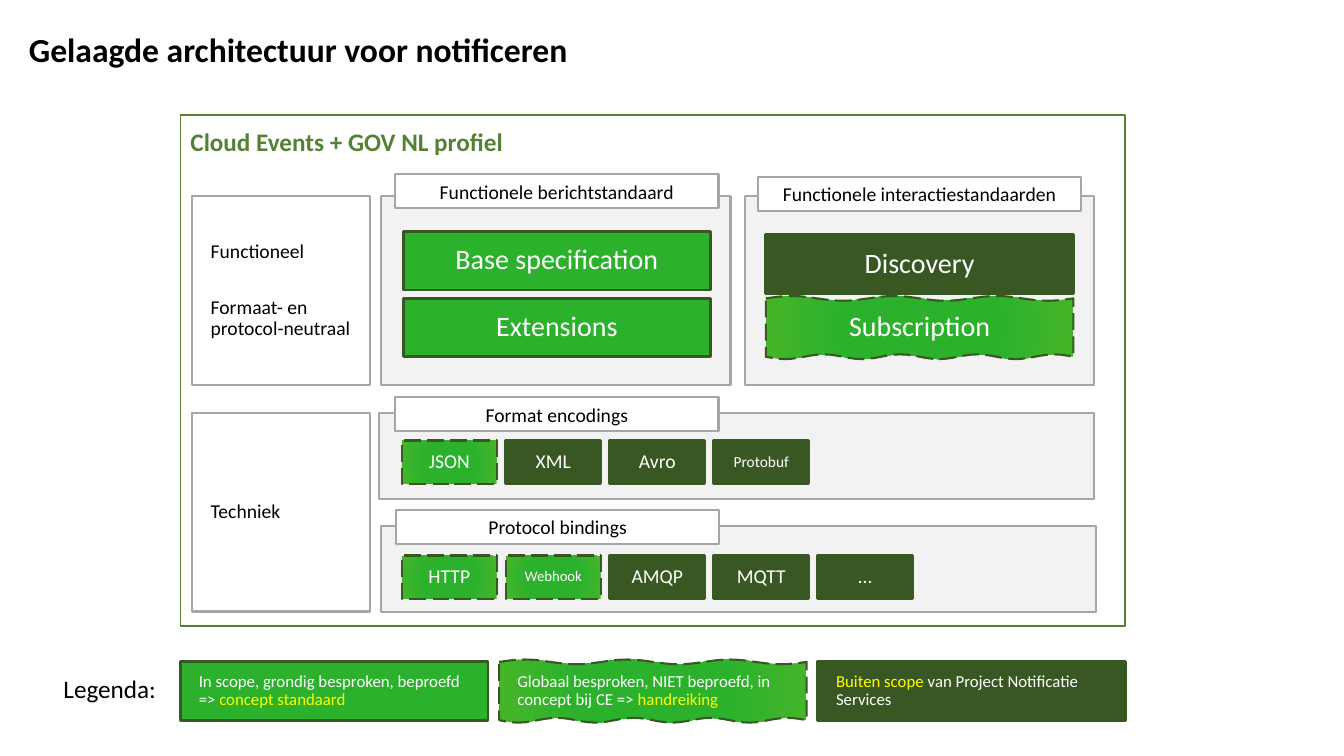
import math

import lxml.etree
import pptx
import pptx.dml.color
import pptx.enum.dml
import pptx.enum.shapes
import pptx.enum.text
import pptx.oxml.ns
import pptx.util

Cm = pptx.util.Cm
Pt = pptx.util.Pt
Align = pptx.enum.text.PP_ALIGN
Anchor = pptx.enum.text.MSO_ANCHOR

COLORS = {
    "black": "000000", "white": "FFFFFF", "yellow": "FFFF00",
    "panel": "F2F2F2", "grey": "A6A6A6", "heading": "548235",
    "scope": "2CB12D", "scope edge": "44B529",
    "dark": "385723", "outline": "375723",
}
FONT = "Calibri"


def color(name):
    return pptx.dml.color.RGBColor.from_string(COLORS[name])


def write(box, paragraphs, size=14, ink="black", bold=False, align=Align.LEFT,
          anchor=Anchor.MIDDLE, inset=(0.25, 0.13), spacing=1.0, gap=0, wrap=True):
    """Fill a box; each paragraph is a string or a list of (text, ink) spans."""
    frame = box.text_frame
    frame.word_wrap = wrap
    frame.vertical_anchor = anchor
    frame.margin_left = frame.margin_right = Cm(inset[0])
    frame.margin_top = frame.margin_bottom = Cm(inset[1])
    for index, content in enumerate(paragraphs):
        para = frame.add_paragraph() if index else frame.paragraphs[0]
        para.alignment = align
        para.line_spacing = spacing
        if index:
            para.space_before = Pt(gap)
        spans = [(content, ink)] if isinstance(content, str) else content
        for text, span_ink in spans:
            span = para.add_run()
            span.text = text
            span.font.name = FONT
            span.font.size = Pt(size)
            span.font.bold = bold
            span.font.color.rgb = color(span_ink)


class Diagram:
    block = (7.75, 1.47)
    chip = (2.39, 1.09)
    wave = 0.06

    def __init__(self, page):
        self.page = page

    def text(self, left, top, width, height, content, **style):
        box = self.page.shapes.add_textbox(Cm(left), Cm(top), Cm(width), Cm(height))
        write(box, [content], **style)

    def dress(self, shape, fill, line, weight):
        shape.shadow.inherit = False
        if fill:
            shape.fill.solid()
            shape.fill.fore_color.rgb = color(fill)
        else:
            shape.fill.background()
        shape.line.color.rgb = color(line)
        shape.line.width = Pt(weight)
        return shape

    def rect(self, left, top, width, height, fill, line="grey", weight=1.5):
        shape = self.page.shapes.add_shape(
            pptx.enum.shapes.MSO_SHAPE.RECTANGLE,
            Cm(left), Cm(top), Cm(width), Cm(height))
        return self.dress(shape, fill, line, weight)

    def wavy(self, left, top, width, height, fill, line, weight):
        steps = 48
        upper, lower = [], []
        for step in range(steps + 1):
            x = left + width * step / steps
            angle = 2 * math.pi * step / steps
            upper.append((Cm(x), Cm(top - self.wave * math.sin(3 * angle))))
            lower.append((Cm(x), Cm(top + height + self.wave * math.sin(4 * angle))))
        outline = upper + lower[::-1]
        builder = self.page.shapes.build_freeform(*outline[0])
        builder.add_line_segments(outline[1:], close=True)
        return self.dress(builder.convert_to_shape(), fill, line, weight)

    def partial(self, shape):
        """Radial green fill with a dashed outline: partly in scope."""
        shape.fill.gradient()
        stops = shape.fill.gradient_stops
        for stop, place, name in zip(stops, (0.49, 0.97), ("scope", "scope edge")):
            stop.position = place
            stop.color.rgb = color(name)
        qn = pptx.oxml.ns.qn
        gradient = shape._element.spPr.find(qn("a:gradFill"))
        gradient.remove(gradient.find(qn("a:lin")))
        radial = lxml.etree.SubElement(gradient, qn("a:path"), {"path": "circle"})
        lxml.etree.SubElement(radial, qn("a:fillToRect"), dict.fromkeys("ltrb", "50000"))
        shape.line.dash_style = pptx.enum.dml.MSO_LINE.LONG_DASH

    def tile(self, left, top, extent, status, content, align=Align.CENTER, **style):
        if status == "partial":
            draw = self.wavy if extent == self.block else self.rect
            shape = draw(left, top, *extent, "scope", "outline", 1.5)
            self.partial(shape)
        else:
            shape = self.rect(left, top, *extent, status, "outline", 2)
        write(shape, [content], ink="white", align=align, inset=(0.46, 0.46),
              spacing=0.9, **style)

    def label(self, left, top, content):
        shape = self.rect(left, top, 8.15, 0.86, "white")
        write(shape, [content], align=Align.CENTER)

    def layer(self, top, height, paragraphs):
        shape = self.rect(4.85, top, 4.47, height, "white")
        write(shape, paragraphs, inset=(0.46, 0.46), spacing=0.9, gap=25)

    def chips(self, top, items):
        for column, (name, status, size) in enumerate(items):
            self.tile(10.13 + 2.62 * column, top, self.chip, status, name, size=size)


def main():
    deck = pptx.Presentation()
    deck.slide_width, deck.slide_height = Cm(33.87), Cm(19.05)
    page = deck.slides.add_slide(deck.slide_layouts[6])
    diagram = Diagram(page)

    # Title and frame
    diagram.text(0.48, 0.43, 29.2, 1.75, "Gelaagde architectuur voor notificeren",
                 size=24, bold=True, spacing=0.9)
    diagram.rect(4.55, 2.9, 23.8, 12.88, None, "heading", 1)
    diagram.text(4.55, 3.05, 8.46, 1.02, "Cloud Events + GOV NL profiel",
                 size=18, ink="heading", bold=True, wrap=False)

    # Layers on the left
    diagram.layer(4.93, 4.78, ["Functioneel", "Formaat- en protocol-neutraal"])
    diagram.layer(10.41, 5, ["Techniek"])

    # Panels with their labels
    for panel, label, name in [
        ((9.6, 4.93, 8.81, 4.78), (9.96, 4.39), "Functionele berichtstandaard"),
        ((18.77, 4.93, 8.81, 4.78), (19.1, 4.45), "Functionele interactiestandaarden"),
        ((9.55, 10.41, 18.03, 2.16), (9.96, 10.01), "Format encodings"),
        ((9.6, 13.26, 18.03, 2.16), (9.98, 12.85), "Protocol bindings"),
    ]:
        diagram.rect(*panel, "panel")
        diagram.label(*label, name)

    # Functional standards
    for left, top, status, name in [
        (10.16, 5.84, "scope", "Base specification"),
        (10.16, 7.52, "scope", "Extensions"),
        (19.3, 5.92, "dark", "Discovery"),
        (19.3, 7.52, "partial", "Subscription"),
    ]:
        diagram.tile(left, top, diagram.block, status, name, size=20)

    # Technical standards
    diagram.chips(11.1, [("JSON", "partial", 14), ("XML", "dark", 14),
                         ("Avro", "dark", 14), ("Protobuf", "dark", 11)])
    diagram.chips(14, [("HTTP", "partial", 14), ("Webhook", "partial", 10.5),
                       ("AMQP", "dark", 14), ("MQTT", "dark", 14), ("…", "dark", 14)])

    # Legend
    diagram.text(1.35, 16.84, 3.02, 1.02, "Legenda:", size=18, wrap=False)
    for column, (status, spans) in enumerate([
        ("scope", [("In scope, grondig besproken, beproefd => ", "white"),
                   ("concept standaard", "yellow")]),
        ("partial", [("Globaal besproken, NIET beproefd, in concept bij CE => ", "white"),
                     ("handreiking", "yellow")]),
        ("dark", [("Buiten scope ", "yellow"),
                  ("van Project Notificatie Services", "white")]),
    ]):
        diagram.tile(4.55 + 8.03 * column, 16.68, diagram.block, status, spans,
                     size=12, align=Align.LEFT)

    deck.save("out.pptx")


if __name__ == "__main__":
    main()
